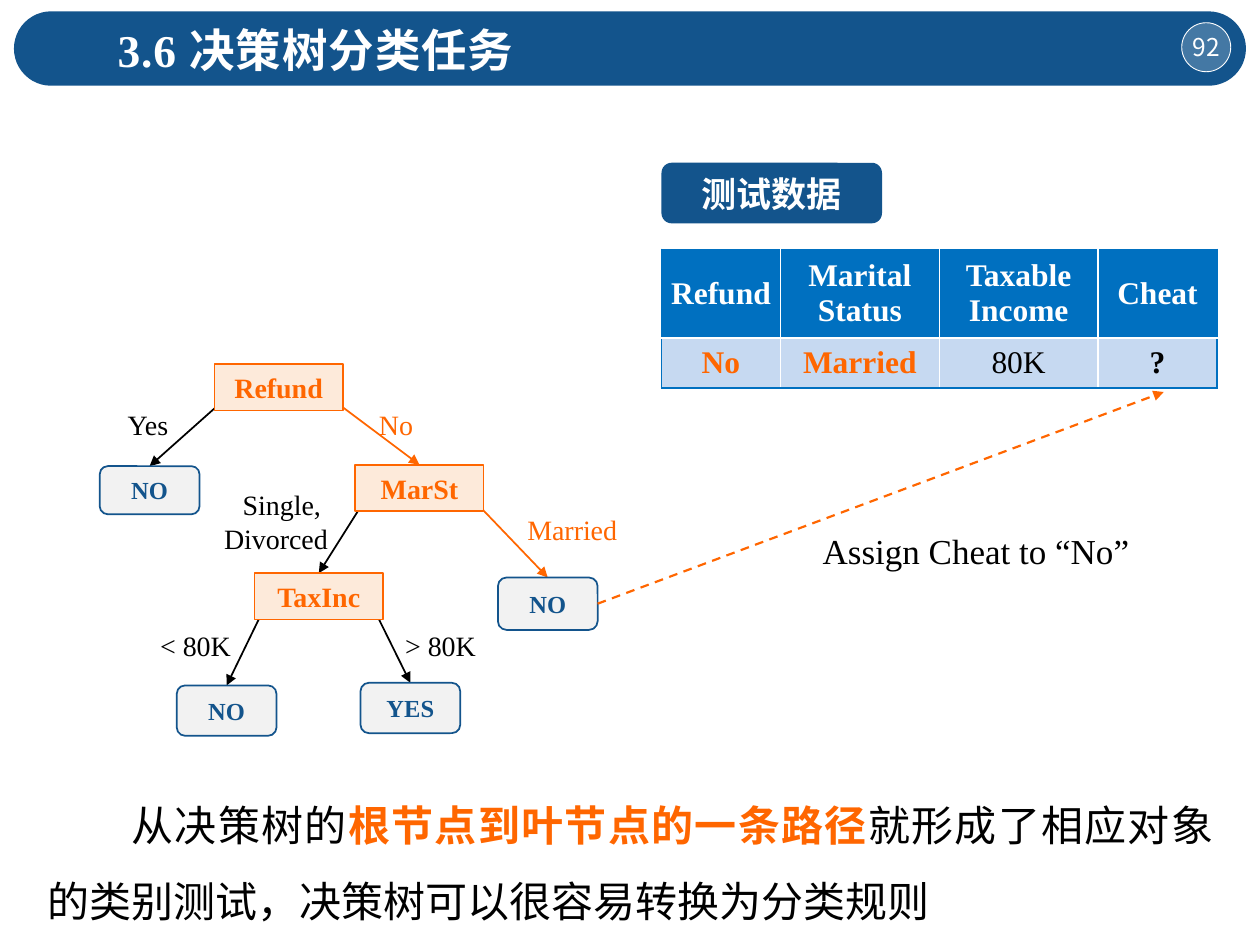
from lxml.etree import SubElement
from pptx import Presentation
from pptx.dml.color import RGBColor
from pptx.enum.dml import MSO_LINE
from pptx.enum.shapes import MSO_CONNECTOR, MSO_SHAPE
from pptx.enum.text import MSO_ANCHOR, MSO_AUTO_SIZE, PP_ALIGN
from pptx.oxml.ns import qn
from pptx.util import Pt

NAVY = RGBColor(0x13, 0x54, 0x8C)
BLUE = RGBColor(0x00, 0x70, 0xC0)
PALE_BLUE = RGBColor(0xC6, 0xD9, 0xF1)
ORANGE = RGBColor(0xFF, 0x66, 0x00)
PEACH = RGBColor(0xFD, 0xEA, 0xDA)
GREY = RGBColor(0xF2, 0xF2, 0xF2)
WHITE = RGBColor(0xFF, 0xFF, 0xFF)
BLACK = RGBColor(0x00, 0x00, 0x00)
LATIN_FONT = "Times New Roman"
CHINESE_FONT = "Noto Sans CJK SC"


def write_text(frame, text, size=16, color=BLACK, bold=False, font=LATIN_FONT,
               align=PP_ALIGN.CENTER, anchor=MSO_ANCHOR.MIDDLE, wrap=False,
               spacing=None, tracking=None, indent=None, highlight=None):
    """Write lines of text into a frame, picking out one highlighted phrase."""
    frame.auto_size = MSO_AUTO_SIZE.NONE
    frame.word_wrap = wrap
    frame.vertical_anchor = anchor
    for number, line in enumerate(text.split("\n")):
        paragraph = frame.add_paragraph() if number else frame.paragraphs[0]
        if indent is not None:
            properties = paragraph._p.get_or_add_pPr()
            properties.set("marL", "0")
            properties.set("indent", str(Pt(indent)))
            SubElement(properties, qn("a:buNone"))
        paragraph.alignment = align
        paragraph.space_before = Pt(0)
        if spacing:
            paragraph.line_spacing = spacing
        parts = [line]
        if highlight:
            before, phrase, after = line.partition(highlight)
            parts = [before, phrase, after]
        for part in parts:
            run = paragraph.add_run()
            run.text = part
            run.font.size = Pt(size)
            run.font.name = font
            run.font.bold = bold or part == highlight
            run.font.color.rgb = ORANGE if part == highlight else color
            run_properties = run.font._element
            if tracking:
                run_properties.set("spc", str(int(tracking * 100)))
            SubElement(run_properties, qn("a:ea"), typeface=CHINESE_FONT)


def add_label(slide, text, left, top, width, height=26.6, **text_format):
    """Add a text box."""
    box = slide.shapes.add_textbox(Pt(left), Pt(top), Pt(width), Pt(height))
    write_text(box.text_frame, text, **text_format)


def add_box(slide, kind, left, top, width, height, fill, line=None, line_width=1):
    """Add a flat preset shape."""
    shape = slide.shapes.add_shape(kind, Pt(left), Pt(top), Pt(width), Pt(height))
    shape.shadow.inherit = False
    shape.fill.solid()
    shape.fill.fore_color.rgb = fill
    if line is None:
        shape.line.fill.background()
    else:
        shape.line.color.rgb = line
        shape.line.width = Pt(line_width)
    return shape


def add_arrow(slide, start, end, color, width=1, dash=None):
    """Add a straight arrow between two points."""
    arrow = slide.shapes.add_connector(
        MSO_CONNECTOR.STRAIGHT, *(Pt(value) for value in (*start, *end)))
    arrow.line.color.rgb = color
    arrow.line.width = Pt(width)
    if dash:
        arrow.line.dash_style = dash
    properties = arrow.element.spPr
    SubElement(properties.find(qn("a:ln")), qn("a:tailEnd"), type="triangle")
    SubElement(properties, qn("a:effectLst"))
    return arrow


def build_header(slide, left, top, width, height):
    """Build the title bar with its page number."""
    bar = add_box(slide, MSO_SHAPE.ROUNDED_RECTANGLE, left, top, width, height, NAVY)
    bar.adjustments[0] = 0.5
    title = slide.shapes.title
    title.element.addprevious(bar.element)
    title.left, title.top = Pt(left + 52), Pt(top + 2)
    title.width, title.height = Pt(300), Pt(39)
    write_text(title.text_frame, "3.6 决策树分类任务", size=26, color=WHITE, bold=True,
               align=PP_ALIGN.LEFT, tracking=0.5)
    badge = add_box(slide, MSO_SHAPE.OVAL, left + width - 36.7, top + 6.5, 28, 28,
                    WHITE, WHITE, 0.5)
    fill_color = badge.element.spPr.find(qn("a:solidFill"))[0]
    SubElement(fill_color, qn("a:alpha"), val="21000")
    frame = badge.text_frame
    frame.margin_left = frame.margin_right = frame.margin_top = frame.margin_bottom = 0
    write_text(frame, "92", size=14, color=WHITE, font=CHINESE_FONT)


def build_tree(slide, left, top):
    """Build the decision tree and return the leaf that the test record reaches."""
    nodes = {}
    for name, x, y in (("Refund", 65.5, 0), ("MarSt", 146, 57.6), ("TaxInc", 88.5, 119.5)):
        node = add_box(slide, MSO_SHAPE.RECTANGLE, left + x, top + y, 73.4, 26.6,
                       PEACH, ORANGE)
        write_text(node.text_frame, name, color=ORANGE, bold=True)
        nodes[name] = node
    for name, text, x, y, height in (
            ("refunded", "NO", 0, 58.4, 27.5), ("married", "NO", 227.5, 122, 30),
            ("low income", "NO", 44, 183.7, 28.8), ("high income", "YES", 149, 182.2, 28.8)):
        leaf = add_box(slide, MSO_SHAPE.ROUNDED_RECTANGLE, left + x, top + y, 57, height,
                       GREY, NAVY)
        write_text(leaf.text_frame, text, size=14, color=NAVY, bold=True)
        nodes[name] = leaf
    for parent_name, left_child, right_child, right_color in (
            ("Refund", "refunded", "MarSt", ORANGE),
            ("MarSt", "TaxInc", "married", ORANGE),
            ("TaxInc", "low income", "high income", BLACK)):
        parent = nodes[parent_name]
        y = parent.top.pt + 21
        for child, x, color in (
                (left_child, parent.left.pt + 5, BLACK),
                (right_child, parent.left.pt + parent.width.pt - 5, right_color)):
            arrow = add_arrow(slide, (x, y), (x, y), color)
            arrow.end_connect(nodes[child], 0)
            nodes["Refund"].element.addprevious(arrow.element)
    for text, x, y, width, color in (
            ("Yes", 8.5, 21, 38, BLACK), ("No", 151.8, 21, 35, ORANGE),
            ("Married", 236, 81.4, 68, ORANGE),
            ("< 80K", 27, 147.7, 55.5, BLACK), ("> 80K", 167, 147.7, 55.5, BLACK)):
        add_label(slide, text, left + x, top + y, width, color=color)
    add_label(slide, "Single, \nDivorced", left + 62.5, top + 67, 75, 46,
              align=PP_ALIGN.RIGHT)
    return nodes["married"]


def set_borders(cell, colors):
    """Set the left, right, top and bottom borders of a cell."""
    properties = cell._tc.get_or_add_tcPr()
    for position, (side, color) in enumerate(zip("LRTB", colors)):
        border = SubElement(properties, qn(f"a:ln{side}"), w=str(Pt(1)))
        SubElement(SubElement(border, qn("a:solidFill")), qn("a:srgbClr"), val=str(color))
        properties.insert(position, border)


def build_test_data(slide, left, top):
    """Build the badge and the table of the test record."""
    badge = add_box(slide, MSO_SHAPE.ROUNDED_RECTANGLE, left, top, 126, 34.6, NAVY)
    write_text(badge.text_frame, "测试数据", size=20, color=WHITE, bold=True)
    widths, heights = (68, 90.75, 90.75, 68), (50.6, 28.6)
    table = slide.shapes.add_table(2, 4, Pt(left), Pt(top + 49.5),
                                   Pt(sum(widths)), Pt(sum(heights))).table
    for column, width in zip(table.columns, widths):
        column.width = Pt(width)
    for row, height in zip(table.rows, heights):
        row.height = Pt(height)
    header = [(text, WHITE, True)
              for text in ("Refund", "Marital\nStatus", "Taxable\nIncome", "Cheat")]
    record = [("No", ORANGE, True), ("Married", ORANGE, True),
              ("80K", BLACK, False), ("?", BLACK, True)]
    for row, (fill, values) in enumerate(((BLUE, header), (PALE_BLUE, record))):
        for column, (text, color, bold) in enumerate(values):
            cell = table.cell(row, column)
            cell.margin_left = cell.margin_right = Pt(5)
            cell.margin_top = cell.margin_bottom = Pt(3.6)
            cell.fill.solid()
            cell.fill.fore_color.rgb = fill
            write_text(cell.text_frame, text, size=18, color=color, bold=bold, wrap=True)
            cell.vertical_anchor = MSO_ANCHOR.MIDDLE
            outer = (column == 0, column == 3, row == 0, row == 1)
            set_borders(cell, [BLUE if edge else WHITE for edge in outer])


def build_assignment(slide, leaf, target):
    """Point from the reached leaf to the unknown class."""
    arrow = add_arrow(slide, target, target, ORANGE, 1.25, MSO_LINE.DASH)
    arrow.begin_connect(leaf, 3)
    add_label(slide, "Assign Cheat to “No”", 463, 301, 210, size=20, align=PP_ALIGN.LEFT)


def build_conclusion(slide, left, top, width, height):
    """Fill the body placeholder with the closing statement."""
    body = slide.placeholders[1]
    body.left, body.top, body.width, body.height = map(Pt, (left, top, width, height))
    write_text(body.text_frame,
               "从决策树的根节点到叶节点的一条路径就形成了相应对象的类别测试，"
               "决策树可以很容易转换为分类规则",
               size=24, align=PP_ALIGN.JUSTIFY, anchor=MSO_ANCHOR.TOP, wrap=True,
               spacing=1.5, indent=48, highlight="根节点到叶节点的一条路径")


def main():
    """Build and save the slide."""
    presentation = Presentation()
    presentation.slide_width, presentation.slide_height = Pt(720), Pt(540)
    slide = presentation.slides.add_slide(presentation.slide_layouts[1])
    build_header(slide, 8, 6.5, 704, 42.5)
    build_conclusion(slide, 20, 439, 680.5, 89.5)
    leaf = build_tree(slide, 57, 208)
    build_test_data(slide, 378, 93)
    build_assignment(slide, leaf, (665, 224))
    presentation.save("out.pptx")


if __name__ == "__main__":
    main()
